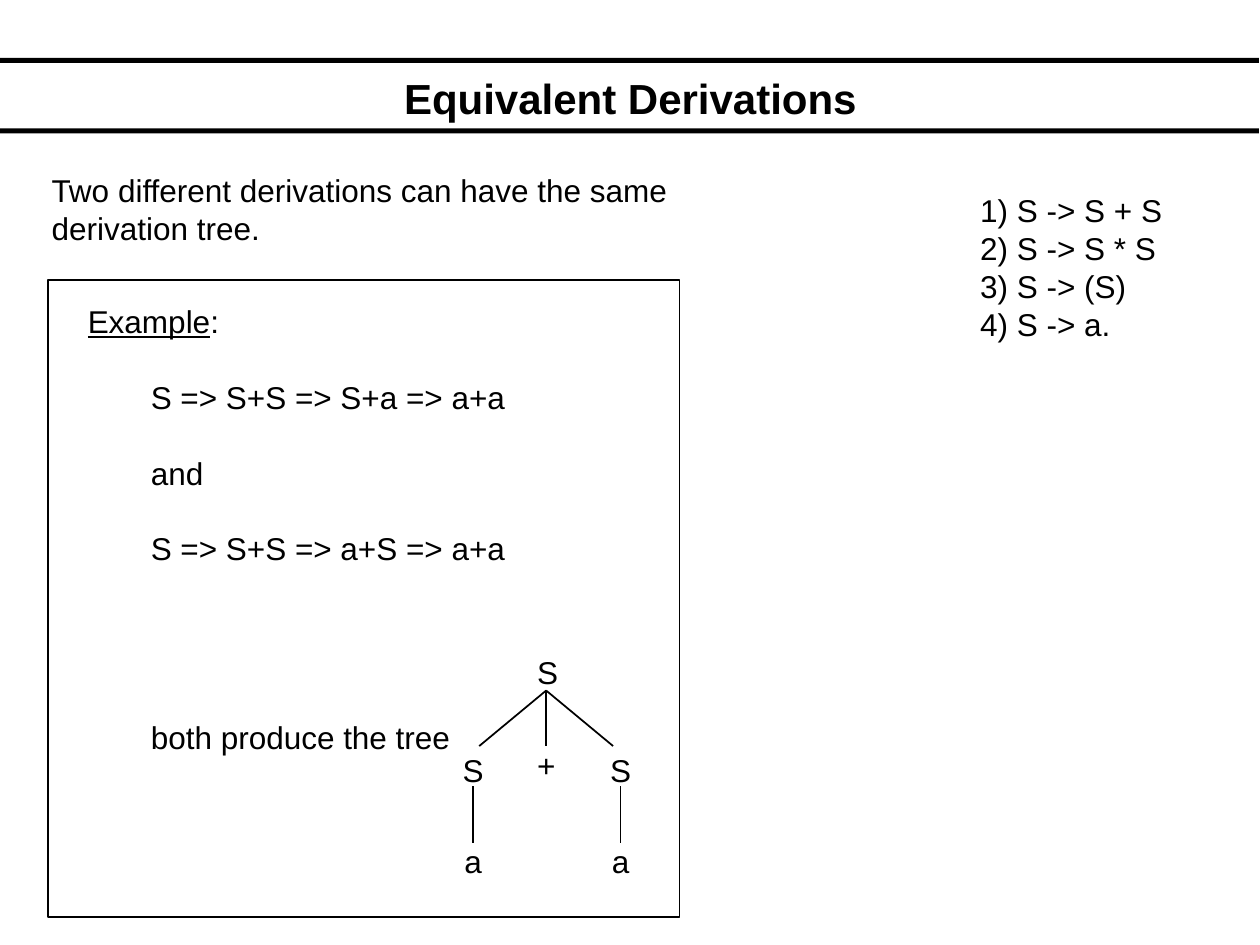
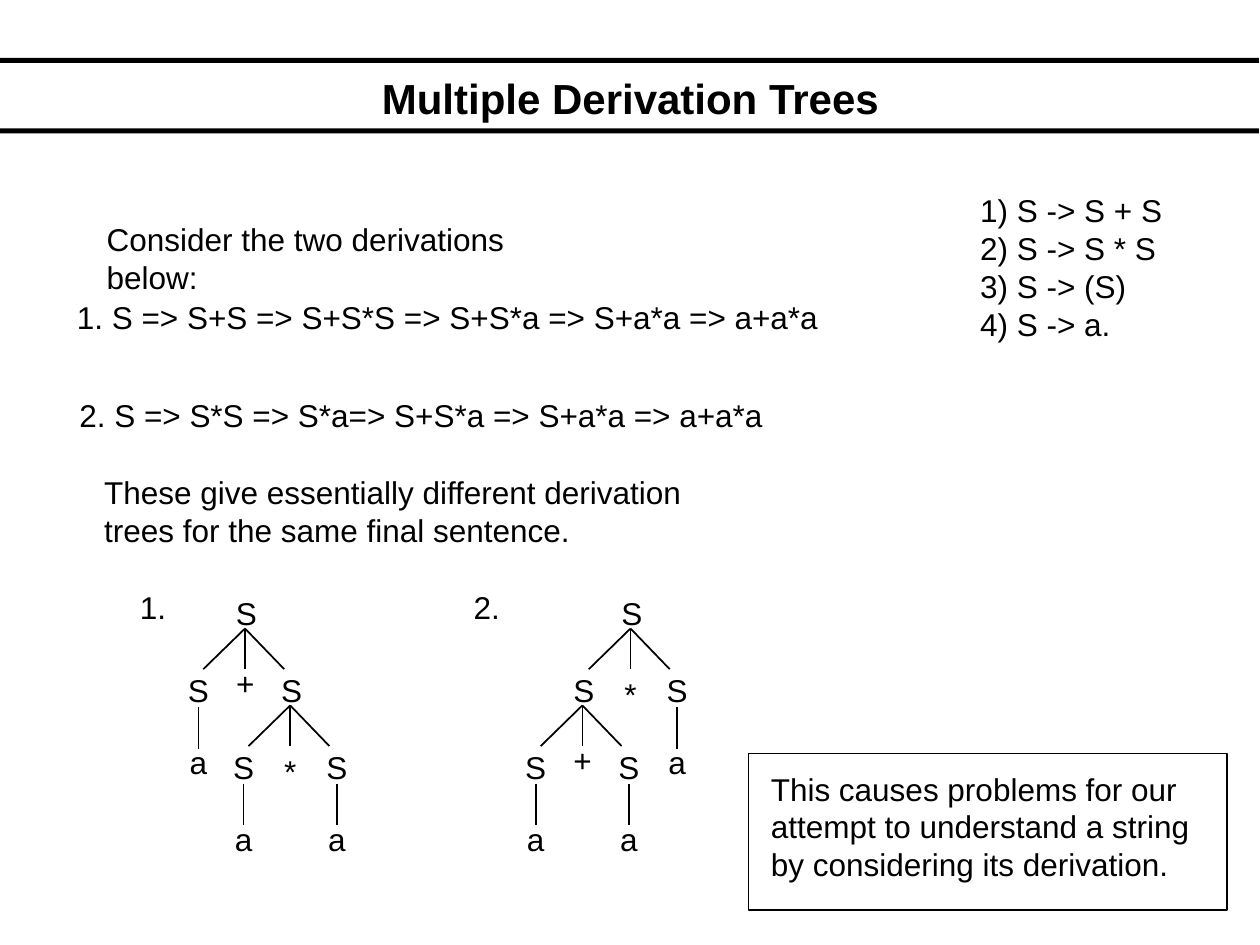
from dataclasses import dataclass

from lxml import etree
from pptx import Presentation
from pptx.dml.color import RGBColor
from pptx.enum.shapes import MSO_CONNECTOR, MSO_SHAPE
from pptx.enum.text import MSO_ANCHOR, PP_ALIGN
from pptx.oxml.ns import qn
from pptx.util import Cm, Pt

COLORS = {"ink": "000000", "paper": "FFFFFF"}
BODY = {"name": "Arial", "size": Pt(18), "bold": False}
TITLE = {"name": "Arial", "size": Pt(24), "bold": True}
LINE_PITCH = 21.6  # points from one line of body text to the next
GRAMMAR = ["1) S -> S + S", "2) S -> S * S", "3) S -> (S)", "4) S -> a."]
SYMBOL_WIDTH = {"S": 0.94, "a": 0.86, "+": 0.86, "*": 0.76}
SYMBOL_HEIGHT = 1.02


@dataclass
class TreeSize:
    """Centimetres from a node's centre (across) and its top (down)."""
    left: float
    right: float
    drop: float
    leaf_drop: float
    operator_drop: dict
    fork_top: float
    fork_bottom: float
    fork_left: float
    fork_right: float
    stem_top: float
    stem_bottom: float


LARGE = TreeSize(-1.5, 1.47, 1.99, 1.82, {"+": 1.88},
                 0.89, 2.01, -1.35, 1.35, 0.83, 1.97)
SMALL = TreeSize(-0.97, 0.91, 1.55, 1.45, {"+": 1.41, "*": 1.63},
                 0.81, 1.63, -0.84, 0.79, 0.84, 1.68)


def ink(name):
    return RGBColor.from_string(COLORS[name])


def apply_format(target, values):
    for name, value in values.items():
        setattr(target, name, value)


def add_run(paragraph, text, font=BODY, **extra):
    run = paragraph.add_run()
    run.text = text
    apply_format(run.font, {**font, **extra})
    run.font.color.rgb = ink("ink")


def add_frame(slide, left, top, width, height, **settings):
    box = slide.shapes.add_textbox(Cm(left), Cm(top), Cm(width), Cm(height))
    apply_format(box.text_frame, {"word_wrap": False, **settings})
    return box.text_frame


def add_lines(slide, place, lines, font=BODY, align=PP_ALIGN.LEFT, **settings):
    frame = add_frame(slide, *place, **settings)
    for index, line in enumerate(lines):
        paragraph = frame.add_paragraph() if index else frame.paragraphs[0]
        paragraph.alignment = align
        add_run(paragraph, line, font)


def add_bar(slide, top):
    bar = slide.shapes.add_shape(MSO_SHAPE.RECTANGLE, 0, Cm(top), Cm(25.38), Cm(0.1))
    bar.shadow.inherit = False
    bar.fill.solid()
    bar.fill.fore_color.rgb = ink("ink")
    bar.line.fill.background()


def add_outline(slide, left, top, width, height):
    outline = slide.shapes.add_shape(
        MSO_SHAPE.RECTANGLE, Cm(left), Cm(top), Cm(width), Cm(height))
    outline.shadow.inherit = False
    outline.fill.background()
    outline.line.color.rgb = ink("ink")
    outline.line.width = Pt(1)


def add_edge(slide, x1, y1, x2, y2):
    edge = slide.shapes.add_connector(
        MSO_CONNECTOR.STRAIGHT, Cm(x1), Cm(y1), Cm(x2), Cm(y2))
    edge.line.color.rgb = ink("ink")
    edge.line.width = Pt(1)
    etree.SubElement(edge._element.spPr, qn("a:effectLst"))


def add_symbol(slide, symbol, center, top):
    width = SYMBOL_WIDTH[symbol]
    add_lines(slide, (center - width / 2, top, width, SYMBOL_HEIGHT), [symbol],
              align=PP_ALIGN.CENTER)


def add_tree(slide, node, center, top, size):
    """Draw an S whose node is the leaf "a" or a (left, operator, right) tuple."""
    add_symbol(slide, "S", center, top)
    if node == "a":
        add_edge(slide, center, top + size.stem_top, center, top + size.stem_bottom)
        add_symbol(slide, "a", center, top + size.leaf_drop)
        return
    left, operator, right = node
    apex = center - 0.03
    for reach in (size.fork_left, 0, size.fork_right):
        add_edge(slide, apex, top + size.fork_top, apex + reach, top + size.fork_bottom)
    add_symbol(slide, operator, apex, top + size.operator_drop[operator])
    add_tree(slide, left, center + size.left, top + size.drop, size)
    add_tree(slide, right, center + size.right, top + size.drop, size)


def add_base_slide(deck, title):
    """Start a slide with the two bars, the title and the grammar rules."""
    slide = deck.slides.add_slide(deck.slide_layouts[6])
    slide.background.fill.solid()
    slide.background.fill.fore_color.rgb = ink("paper")
    for top in (2.59, 1.17):
        add_bar(slide, top)
    add_lines(slide, (3.96, 1.32, 17.5, 1.32), [title], TITLE, PP_ALIGN.CENTER,
              word_wrap=True, vertical_anchor=MSO_ANCHOR.MIDDLE)
    add_lines(slide, (19.51, 3.73, 4.6, 3.3), GRAMMAR, word_wrap=True)
    return slide


def add_example(slide):
    frame = add_frame(slide, 1.52, 5.97, 8.92, 9.4)
    heading = frame.paragraphs[0]
    add_run(heading, "Example", underline=True)
    add_run(heading, ":")
    # Each step with the number of free lines above it
    for step, free_lines in (("S => S+S => S+a => a+a", 1), ("and", 1),
                             ("S => S+S => a+S => a+a", 1),
                             ("both produce the tree", 4)):
        paragraph = frame.add_paragraph()
        paragraph.space_before = Pt(free_lines * LINE_PITCH)
        paragraph._p.get_or_add_pPr().set("marL", str(Cm(1.27)))
        add_run(paragraph, step)


def equivalent_derivations(deck):
    slide = add_base_slide(deck, "Equivalent Derivations")
    add_lines(slide, (0.79, 3.33, 12.95, 1.78),
              ["Two different derivations can have the same", "derivation tree."])
    add_outline(slide, 0.97, 5.64, 12.73, 12.85)
    add_example(slide)
    add_tree(slide, ("a", "+", "a"), 11.04, 13.03, LARGE)


def multiple_trees(deck):
    slide = add_base_slide(deck, "Multiple Derivation Trees")
    # Derivations
    for place, lines in (
        ((1.9, 4.32, 10.52, 1.02), ["Consider the two derivations below:"]),
        ((1.3, 5.89, 15.47, 1.02), ["1. S => S+S => S+S*S => S+S*a => S+a*a => a+a*a"]),
        ((1.35, 7.85, 14.3, 1.02), ["2. S => S*S => S*a=> S+S*a => S+a*a => a+a*a"]),
        ((1.85, 9.42, 12.14, 1.78), ["These give essentially different derivation",
                                     "trees for the same final sentence."]),
    ):
        add_lines(slide, place, lines)
    # Numbered trees
    for number, number_left, center, tree in (
        ("1.", 2.57, 4.97, ("a", "+", ("a", "*", "a"))),
        ("2.", 9.3, 12.74, (("a", "+", "a"), "*", "a")),
    ):
        add_lines(slide, (number_left, 11.73, 1.04, 1.02), [number])
        add_tree(slide, tree, center, 11.86, SMALL)
    # Consequence
    add_outline(slide, 15.09, 15.19, 9.65, 3.15)
    add_lines(slide, (15.29, 15.39, 9.25, 2.54),
              ["This causes problems for our attempt to understand a string "
               "by considering its derivation."], word_wrap=True)


def main():
    deck = Presentation()
    deck.slide_width, deck.slide_height = Cm(25.4), Cm(19.05)
    equivalent_derivations(deck)
    multiple_trees(deck)
    deck.save("out.pptx")


if __name__ == "__main__":
    main()
